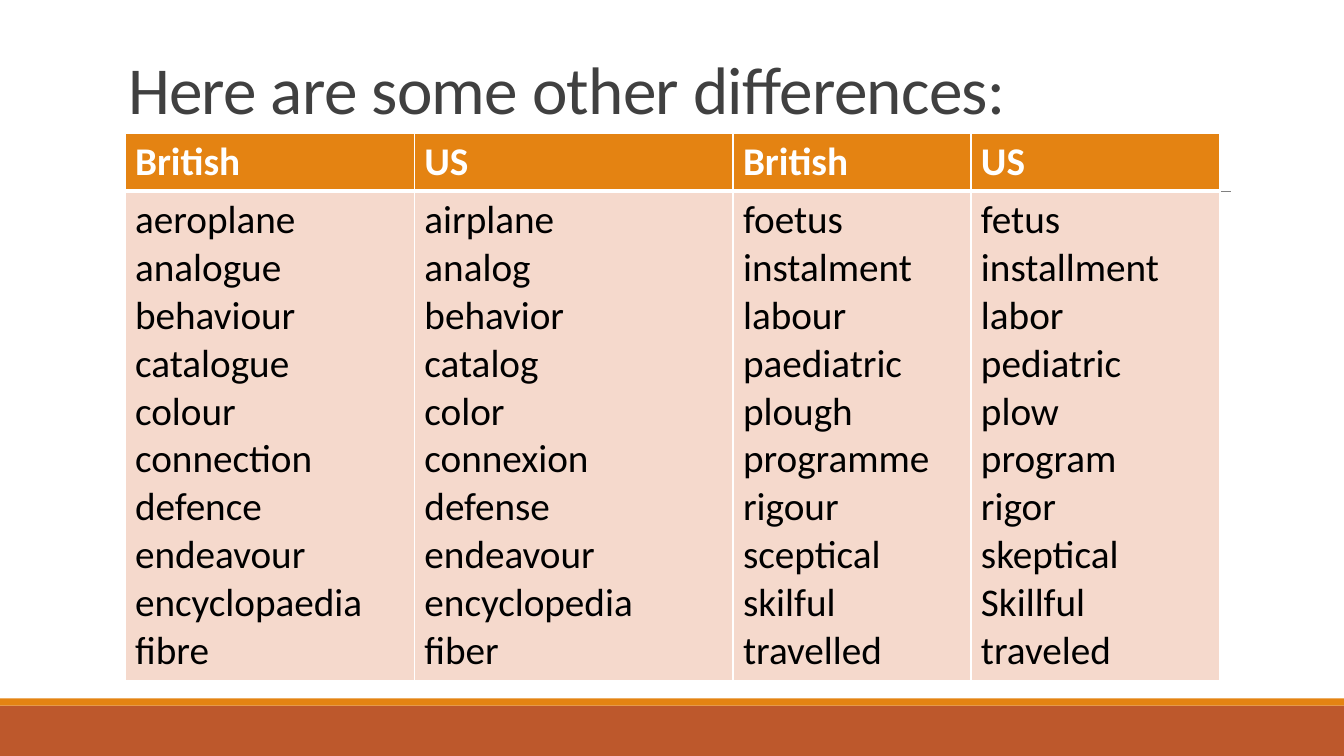
import pptx
import pptx.util
import pptx.dml.color
import pptx.enum.shapes
import pptx.enum.text
import lxml.etree
from pptx.oxml.ns import qn

Inches, Pt = pptx.util.Inches, pptx.util.Pt
RGB = pptx.dml.color.RGBColor
ORANGE = RGB(0xE4, 0x83, 0x12)
RUST = RGB(0xBD, 0x58, 0x2C)
PEACH = RGB(0xF5, 0xD9, 0xCC)
WHITE = RGB(255, 255, 255)
BLACK = RGB(0, 0, 0)
DARK = RGB(0x40, 0x40, 0x40)
GRAY = RGB(0x80, 0x80, 0x80)
FONT = "Calibri"

# Content
TITLE = "Here are some other differences:"
WORDS = [
    ("British", 2.87, "aeroplane analogue behaviour catalogue colour connection "
     "defence endeavour encyclopaedia fibre"),
    ("US", 3.16, "airplane analog behavior catalog color connexion "
     "defense endeavour encyclopedia fiber"),
    ("British", 2.36, "foetus instalment labour paediatric plough programme "
     "rigour sceptical skilful travelled"),
    ("US", 2.47, "fetus installment labor pediatric plow program "
     "rigor skeptical Skillful traveled"),
]
BARS = [(7, 0.5, RUST), (6.93, 0.07, ORANGE)]
ROWS = (0.57, 4.86)

deck = pptx.Presentation()
deck.slide_width, deck.slide_height = Inches(13.33), Inches(7.5)
slide = deck.slides.add_slide(deck.slide_layouts[5])
shapes = slide.shapes

# Footer bars
for top, height, color in BARS:
    bar = shapes.add_shape(pptx.enum.shapes.MSO_SHAPE.RECTANGLE,
                           0, Inches(top), deck.slide_width, Inches(height))
    bar.shadow.inherit = False
    bar.fill.solid()
    bar.fill.fore_color.rgb = color
    bar.line.fill.background()

# Rule behind the table
rule = shapes.add_connector(pptx.enum.shapes.MSO_CONNECTOR.STRAIGHT,
                            Inches(1.31), Inches(1.9), Inches(12.21), Inches(1.9))
rule.line.color.rgb = GRAY
rule.line.width = Pt(0.5)
lxml.etree.SubElement(rule._element.spPr, qn("a:effectLst"))

# Title
title = shapes.title
title.left, title.top = Inches(1.17), Inches(0.47)
title.width, title.height = Inches(11), Inches(0.85)
frame = title.text_frame
frame.text = TITLE
frame.word_wrap = True
frame.auto_size = pptx.enum.text.MSO_AUTO_SIZE.NONE
frame.vertical_anchor = pptx.enum.text.MSO_ANCHOR.BOTTOM
para = frame.paragraphs[0]
para.alignment = pptx.enum.text.PP_ALIGN.LEFT
para.line_spacing = 0.85
para.font.name, para.font.size, para.font.color.rgb = FONT, Pt(48), DARK
para.runs[0].font._element.set("spc", "-50")


def edge(cell, side, width):
    """Give one side of a cell a white border."""
    props = cell._tc.get_or_add_tcPr()
    line = lxml.etree.SubElement(props, qn("a:" + side), w=str(Pt(width)))
    fill = lxml.etree.SubElement(line, qn("a:solidFill"))
    lxml.etree.SubElement(fill, qn("a:srgbClr"), val=str(WHITE))


def write(cell, lines, back, ink, bold, base):
    """Fill a cell with one paragraph per line."""
    for side in ("lnL", "lnR", "lnT"):
        edge(cell, side, 3 if side == "lnT" and not bold else 1)
    edge(cell, "lnB", base)
    cell.fill.solid()
    cell.fill.fore_color.rgb = back
    cell.text = "\n".join(lines)
    for para in cell.text_frame.paragraphs:
        font = para.font
        font.name, font.size, font.bold = FONT, Pt(28), bold
        font.color.rgb = ink


# Word table
table = shapes.add_table(2, len(WORDS), Inches(1.24), Inches(1.32),
                         Inches(sum(width for _, width, _ in WORDS)),
                         Inches(sum(ROWS))).table
for row, height in zip(table.rows, ROWS):
    row.height = Inches(height)
for col, (head, width, words) in enumerate(WORDS):
    table.columns[col].width = Inches(width)
    write(table.cell(0, col), [head], ORANGE, WHITE, True, 3)
    write(table.cell(1, col), words.split(), PEACH, BLACK, False, 1)

deck.save("out.pptx")
